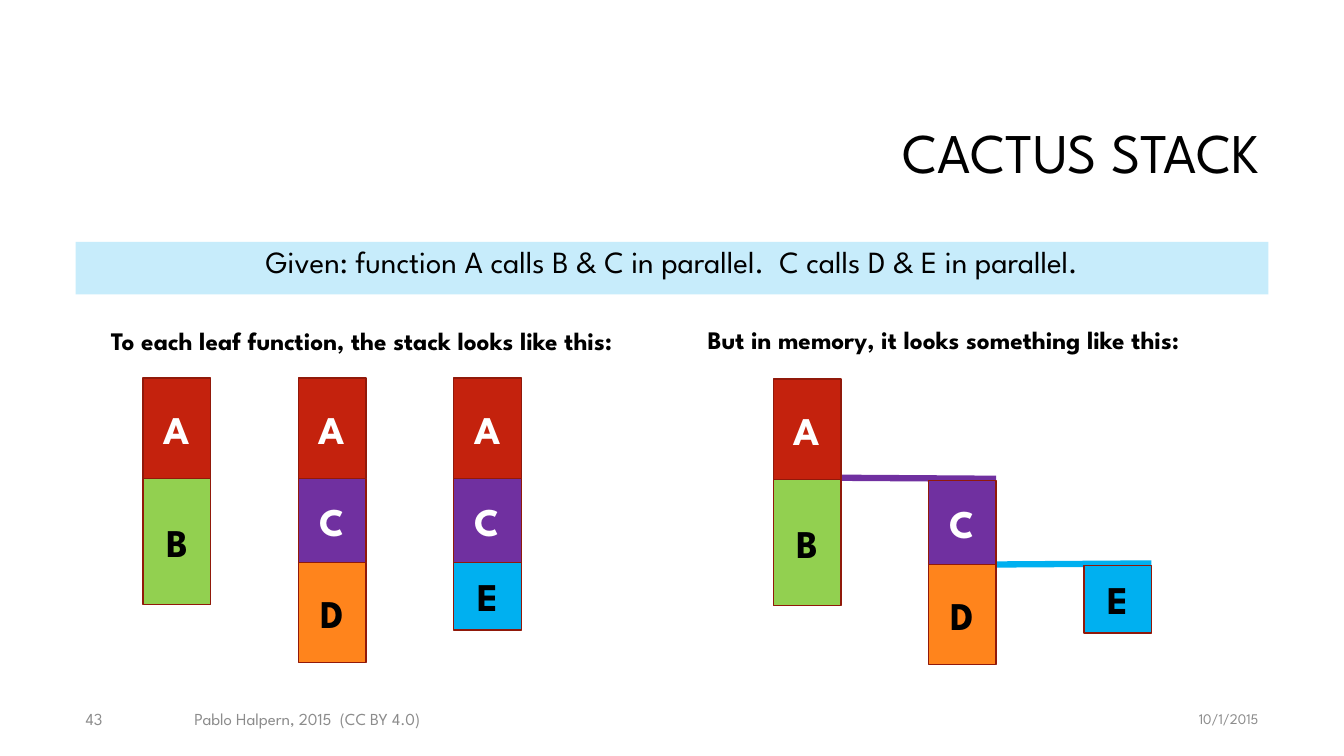
from dataclasses import dataclass

from lxml.etree import SubElement
from pptx import Presentation
from pptx.dml.color import RGBColor
from pptx.enum.shapes import MSO_CONNECTOR, MSO_SHAPE
from pptx.enum.text import MSO_ANCHOR, PP_ALIGN
from pptx.oxml.ns import qn
from pptx.util import Inches, Pt


@dataclass(frozen=True)
class Theme:
    font: str = "League Spartan"
    dark: str = "000000"
    light: str = "FFFFFF"
    muted: str = "8C8C8C"
    banner: str = "C7ECFB"
    outline: str = "91190A"
    title_size: float = 40
    frame_size: float = 28
    banner_size: float = 22
    heading_size: float = 18
    footer_size: float = 12
    date_size: float = 10.5


THEME = Theme()

# Function: (height in inches, fill, label colour)
FRAMES = {
    "A": (1, "C4220D", THEME.light),
    "B": (1.25, "92D050", THEME.dark),
    "C": (0.83, "7030A0", THEME.light),
    "D": (0.99, "FF841C", THEME.dark),
    "E": (0.67, "00B0F0", THEME.dark),
}

FRAME_WIDTH = 0.67
COLUMN_PITCH = 1.54
LEAF_LEFT, MEMORY_LEFT = 1.42, 7.67
STACK_TOP = 3.75
MARGIN = 0.75
FOOTER_TOP, ROW_HEIGHT = 6.93, 0.4


def column(origin, index):
    return origin + index * COLUMN_PITCH


def write(shape, text, size, color=THEME.dark, bold=False,
          anchor=MSO_ANCHOR.MIDDLE, **paragraph_format):
    frame = shape.text_frame
    frame.word_wrap = True
    frame.vertical_anchor = anchor
    paragraph = frame.paragraphs[0]
    for name, value in paragraph_format.items():
        setattr(paragraph, name, value)
    run = paragraph.add_run()
    run.text = text
    font_format = {"name": THEME.font, "size": Pt(size), "bold": bold}
    for name, value in font_format.items():
        setattr(run.font, name, value)
    run.font.color.rgb = RGBColor.from_string(color)


def add_text(slide, box, text, size, **text_format):
    textbox = slide.shapes.add_textbox(*map(Inches, box))
    write(textbox, text, size, **text_format)


def add_block(slide, box, fill, outline=None):
    block = slide.shapes.add_shape(MSO_SHAPE.RECTANGLE, *map(Inches, box))
    block.shadow.inherit = False
    block.fill.solid()
    block.fill.fore_color.rgb = RGBColor.from_string(fill)
    if outline:
        block.line.color.rgb = RGBColor.from_string(outline)
        block.line.width = Pt(1)
    else:
        block.line.fill.background()
    return block


def add_stack(slide, left, top, functions):
    """Pile the frames of the named functions downwards from top."""
    for function in functions:
        height, fill, label_color = FRAMES[function]
        block = add_block(slide, (left, top, FRAME_WIDTH, height), fill, THEME.outline)
        write(block, function, THEME.frame_size, color=label_color, bold=True,
              alignment=PP_ALIGN.CENTER)
        top += height


def add_branch(slide, callee, parent_column, start_y, end_y):
    """Link a parent's right edge to the far edge of the next column."""
    start_x = column(MEMORY_LEFT, parent_column) + FRAME_WIDTH
    ends = (start_x, start_y, start_x + COLUMN_PITCH, end_y)
    branch = slide.shapes.add_connector(MSO_CONNECTOR.STRAIGHT, *map(Inches, ends))
    branch.line.color.rgb = RGBColor.from_string(FRAMES[callee][1])
    branch.line.width = Pt(4.5)
    SubElement(branch._element.spPr, qn("a:effectLst"))


def add_header(slide):
    add_text(slide, (2.42, 0.84, 10.17, 1.41), "CACTUS STACK", THEME.title_size,
             alignment=PP_ALIGN.RIGHT, line_spacing=0.9)
    banner = add_block(slide, (MARGIN, 2.4, 11.83, 0.52), THEME.banner)
    write(banner, "Given: function A calls B & C in parallel.  C calls D & E in parallel.",
          THEME.banner_size, anchor=MSO_ANCHOR.TOP, alignment=PP_ALIGN.CENTER,
          line_spacing=0.9, space_before=Pt(10))


def add_footer(slide):
    for left, width, text, size, alignment in (
        (9.4, 3.18, "10/1/2015", THEME.date_size, PP_ALIGN.RIGHT),
        (1.83, 7.42, "Pablo Halpern, 2015  (CC BY 4.0)", THEME.footer_size, PP_ALIGN.LEFT),
        (MARGIN, 0.93, "43", THEME.footer_size, PP_ALIGN.LEFT),
    ):
        add_text(slide, (left, FOOTER_TOP, width, ROW_HEIGHT), text, size,
                 color=THEME.muted, alignment=alignment)


def add_headings(slide):
    for left, top, width, text in (
        (1, 3.18, 5.75, "To each leaf function, the stack looks like this:"),
        (6.92, 3.17, 5.42, "But in memory, it looks something like this:"),
    ):
        add_text(slide, (left, top, width, ROW_HEIGHT), text, THEME.heading_size,
                 bold=True, anchor=MSO_ANCHOR.TOP)


def main():
    deck = Presentation()
    deck.slide_width, deck.slide_height = Inches(13.33), Inches(7.5)
    slide = deck.slides.add_slide(deck.slide_layouts[6])

    add_header(slide)
    add_footer(slide)
    add_headings(slide)

    for index, functions in enumerate(("AB", "ACD", "ACE")):
        add_stack(slide, column(LEAF_LEFT, index), STACK_TOP, functions)

    add_branch(slide, "C", 0, 4.74, 4.75)
    add_branch(slide, "E", 1, 5.6, 5.59)
    for index, (top, functions) in enumerate(((3.76, "AB"), (4.77, "CD"), (5.61, "E"))):
        add_stack(slide, column(MEMORY_LEFT, index), top, functions)

    deck.save("out.pptx")


if __name__ == "__main__":
    main()
